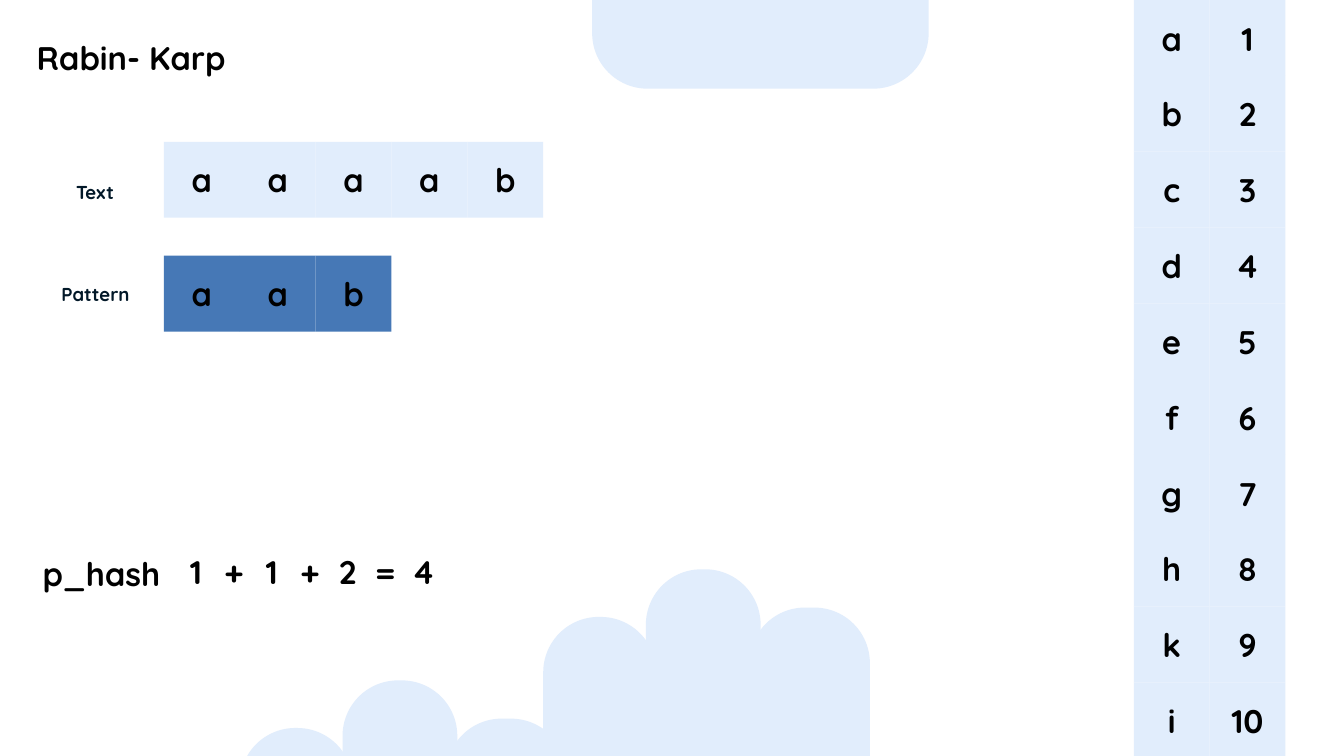
from pptx import Presentation
from pptx.dml.color import RGBColor
from pptx.enum.shapes import MSO_SHAPE
from pptx.enum.text import MSO_ANCHOR, MSO_AUTO_SIZE, PP_ALIGN
from pptx.util import Pt

RECTANGLE = MSO_SHAPE.RECTANGLE
ROUNDED = MSO_SHAPE.ROUNDED_RECTANGLE
TOP, MIDDLE = MSO_ANCHOR.TOP, MSO_ANCHOR.MIDDLE
CENTER = PP_ALIGN.CENTER
NO_AUTOFIT = MSO_AUTO_SIZE.NONE

COLORS = {"black": "000000", "navy": "021828", "pale": "E1EDFC", "blue": "4678B6"}
TITLE_ONLY = 5

CELL = 81.25
ROW_LEFT = 175.7
LARGE, SMALL = 35, 20
CLOUD_HEIGHT, CLOUD_RADIUS = 380, 59.4


class SlideBuilder:
    font = "Quicksand"

    def __init__(self, slide):
        self.slide = slide

    def set_text(self, shape, text, size, color="black", anchor=TOP, bottom=0):
        frame = shape.text_frame
        frame.auto_size = NO_AUTOFIT
        frame.word_wrap = False
        frame.vertical_anchor = anchor
        frame.margin_left = frame.margin_right = frame.margin_top = 0
        frame.margin_bottom = Pt(bottom)
        para = frame.paragraphs[0]
        para.text = text
        para.alignment = CENTER
        para.line_spacing = Pt(size * 1.4)
        para.font.name = self.font
        para.font.size = Pt(size)
        para.font.bold = True
        para.font.color.rgb = RGBColor.from_string(COLORS[color])

    def title(self, text, left, top, width, height):
        title = self.slide.shapes.title
        title.left, title.top = Pt(left), Pt(top)
        title.width, title.height = Pt(width), Pt(height)
        self.set_text(title, text, LARGE)

    def label(self, text, left, top, width, size=LARGE, color="black"):
        box = self.slide.shapes.add_textbox(
            Pt(left), Pt(top), Pt(width), Pt(size * 1.35))
        self.set_text(box, text, size, color)

    def filled(self, kind, left, top, width, height, color):
        shape = self.slide.shapes.add_shape(
            kind, Pt(left), Pt(top), Pt(width), Pt(height))
        shape.shadow.inherit = False
        shape.fill.solid()
        shape.fill.fore_color.rgb = RGBColor.from_string(COLORS[color])
        shape.line.fill.background()
        return shape

    def cell(self, text, left, top, color="pale"):
        square = self.filled(RECTANGLE, left, top, CELL, CELL, color)
        self.set_text(square, text, LARGE, anchor=MIDDLE, bottom=6.8)

    def row(self, letters, top, color):
        for index, letter in enumerate(letters):
            self.cell(letter, ROW_LEFT + index * CELL, top, color)

    def puff(self, left, top, width):
        """Draw one rounded block of a cloud."""
        block = self.filled(ROUNDED, left, top, width, CLOUD_HEIGHT, "pale")
        block.adjustments[0] = CLOUD_RADIUS / min(width, CLOUD_HEIGHT)

    def cloud(self, left, top):
        """Draw three puffs; left and top place the first one."""
        for right, down, width in ((0, 0, 121), (110, -51, 123), (221, -10, 129)):
            self.puff(left + right, top + down, width)


def main():
    deck = Presentation()
    deck.slide_width, deck.slide_height = Pt(1440), Pt(810)
    page = SlideBuilder(deck.slides.add_slide(deck.slide_layouts[TITLE_ONLY]))

    page.title("Rabin- Karp", 39, 33.8, 203, 47)

    page.row("aaaab", 152, "pale")
    page.row("aab", 274, "blue")
    page.label("Text", 80.6, 189.4, 42.5, SMALL, "navy")
    page.label("Pattern", 65.5, 299, 73.5, SMALL, "navy")

    page.label("p_hash", 45.4, 586, 126.7)
    for index, symbol in enumerate("1+1+2=4"):
        page.label(symbol, 200 + index * CELL / 2, 584, 20)

    for index, letter in enumerate("abcdefghki"):
        page.cell(letter, 1214.8, index * CELL)
        page.cell(str(index + 1), 1214.8 + CELL, index * CELL)

    page.cloud(582, 661)
    page.cloud(257, 780)
    page.puff(634.5, -285, 360.5)

    deck.save("out.pptx")


if __name__ == "__main__":
    main()
